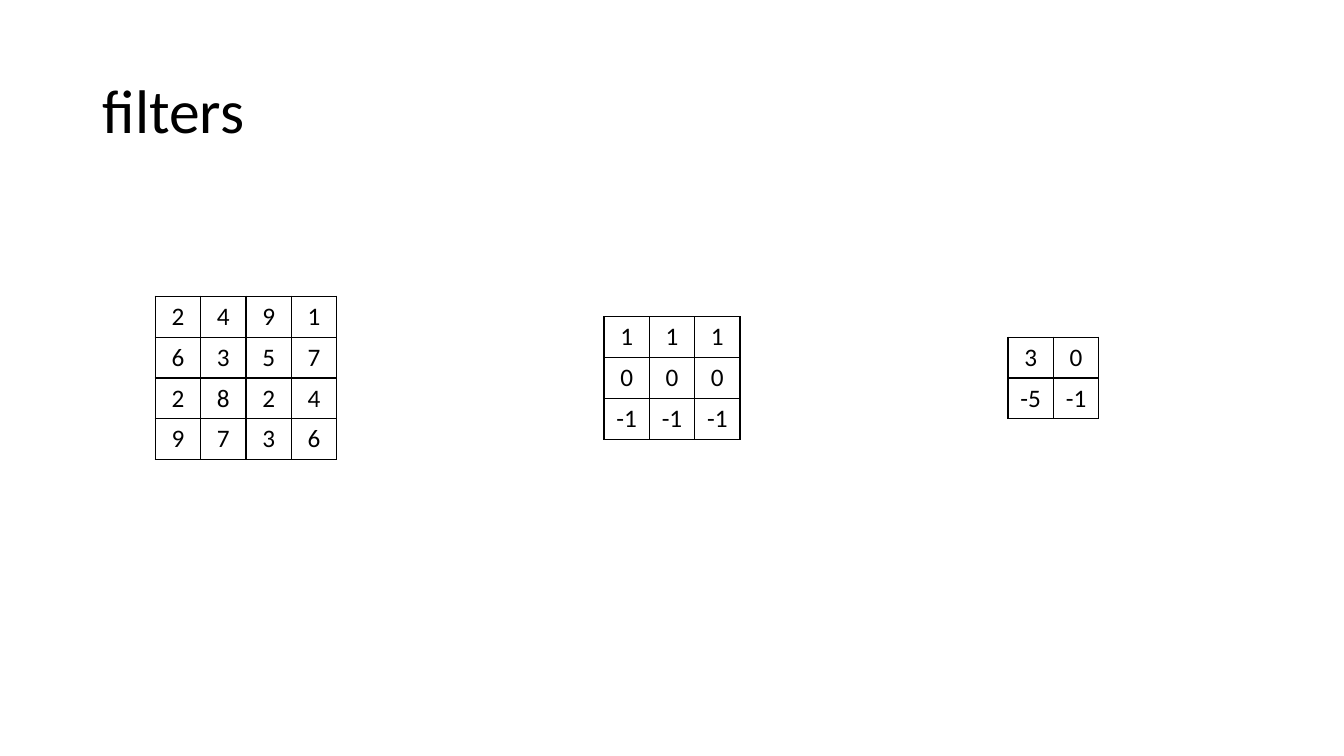
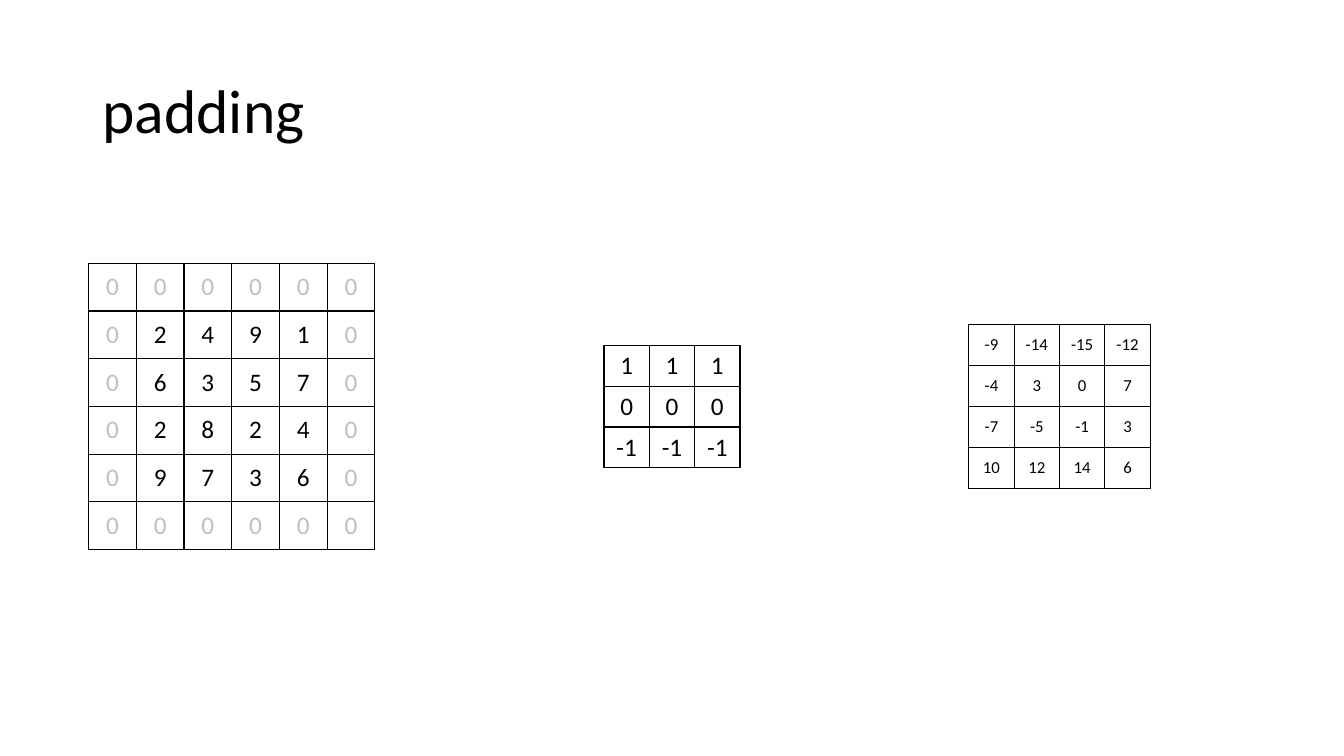
import pptx
import pptx.dml.color
import pptx.enum.text
import pptx.oxml
import pptx.oxml.ns
import pptx.util

Pt = pptx.util.Pt
Align = pptx.enum.text.PP_ALIGN
Anchor = pptx.enum.text.MSO_ANCHOR

BLACK = pptx.dml.color.RGBColor(0x00, 0x00, 0x00)
GREY = pptx.dml.color.RGBColor(0xBF, 0xBF, 0xBF)
FONT = "Calibri"
EDGE = 1
CELL = (32.4, 29.2)
SQUARE = (34.1, 34.1)
MIDDLE = 480

IMAGE = [[2, 4, 9, 1], [6, 3, 5, 7], [2, 8, 2, 4], [9, 7, 3, 6]]
FILTER = [[1, 1, 1], [0, 0, 0], [-1, -1, -1]]
VALID = [[3, 0], [-5, -1]]
SAME = [[-9, -14, -15, -12], [-4, 3, 0, 7], [-7, -5, -1, 3], [10, 12, 14, 6]]


def pad(grid):
    """Return the grid with a ring of zeros around it."""
    blank = [0] * (len(grid[0]) + 2)
    return [blank, *([0, *row, 0] for row in grid), blank]


def add_run(para, text, size, color=BLACK):
    """Add one run of text in the deck's font."""
    run = para.add_run()
    run.text = str(text)
    run.font.name = FONT
    run.font.size = Pt(size)
    run.font.color.rgb = color


def add_slide(deck, text):
    """Add a title-only slide and set its title."""
    slide = deck.slides.add_slide(deck.slide_layouts[5])
    title = slide.shapes.title
    title.left, title.top, title.width, title.height = map(Pt, (66, 28.8, 828, 104.4))
    title.text_frame.vertical_anchor = Anchor.MIDDLE
    para = title.text_frame.paragraphs[0]
    para.alignment = Align.LEFT
    para.line_spacing = 0.9
    add_run(para, text, 44)
    return slide


def set_edges(cell):
    """Draw a thin black line on each side of a cell."""
    props = cell._tc.get_or_add_tcPr()
    for place, side in enumerate("LRTB"):
        line = pptx.oxml.parse_xml(
            f'<a:ln{side} {pptx.oxml.ns.nsdecls("a")} w="{Pt(EDGE)}">'
            f'<a:solidFill><a:srgbClr val="{BLACK}"/></a:solidFill></a:ln{side}>'
        )
        props.insert(place, line)


def add_grid(slide, grid, mid_x, mid_y, cell_size=CELL, size=18, ring=False):
    """Add a number table centred on a point, with an optional grey ring."""
    rows, cols = len(grid), len(grid[0])
    wide, high = cell_size
    left, top = mid_x - cols * wide / 2, mid_y - rows * high / 2
    frame = slide.shapes.add_table(
        rows, cols, Pt(left), Pt(top), Pt(cols * wide), Pt(rows * high)
    )
    table = frame.table
    table.first_row = table.horz_banding = False
    for col in table.columns:
        col.width = Pt(wide)
    for y, row in enumerate(grid):
        table.rows[y].height = Pt(high)
        for x, value in enumerate(row):
            cell = table.cell(y, x)
            cell.fill.background()
            cell.vertical_anchor = Anchor.MIDDLE
            set_edges(cell)
            outer = y in (0, rows - 1) or x in (0, cols - 1)
            para = cell.text_frame.paragraphs[0]
            para.alignment = Align.CENTER
            add_run(para, value, size, GREY if ring and outer else BLACK)


def main():
    """Build both slides and save the deck."""
    deck = pptx.Presentation()
    deck.slide_width, deck.slide_height = Pt(960), Pt(540)

    slide = add_slide(deck, "filters")
    add_grid(slide, IMAGE, 175.7, 270)
    add_grid(slide, FILTER, MIDDLE, 270)
    add_grid(slide, VALID, 752.4, 270)

    slide = add_slide(deck, "padding")
    add_grid(slide, pad(IMAGE), 165.6, 290.4, cell_size=SQUARE, ring=True)
    add_grid(slide, FILTER, MIDDLE, 290.4)
    add_grid(slide, SAME, 756.8, 290.4, size=12)

    deck.save("out.pptx")


if __name__ == "__main__":
    main()
